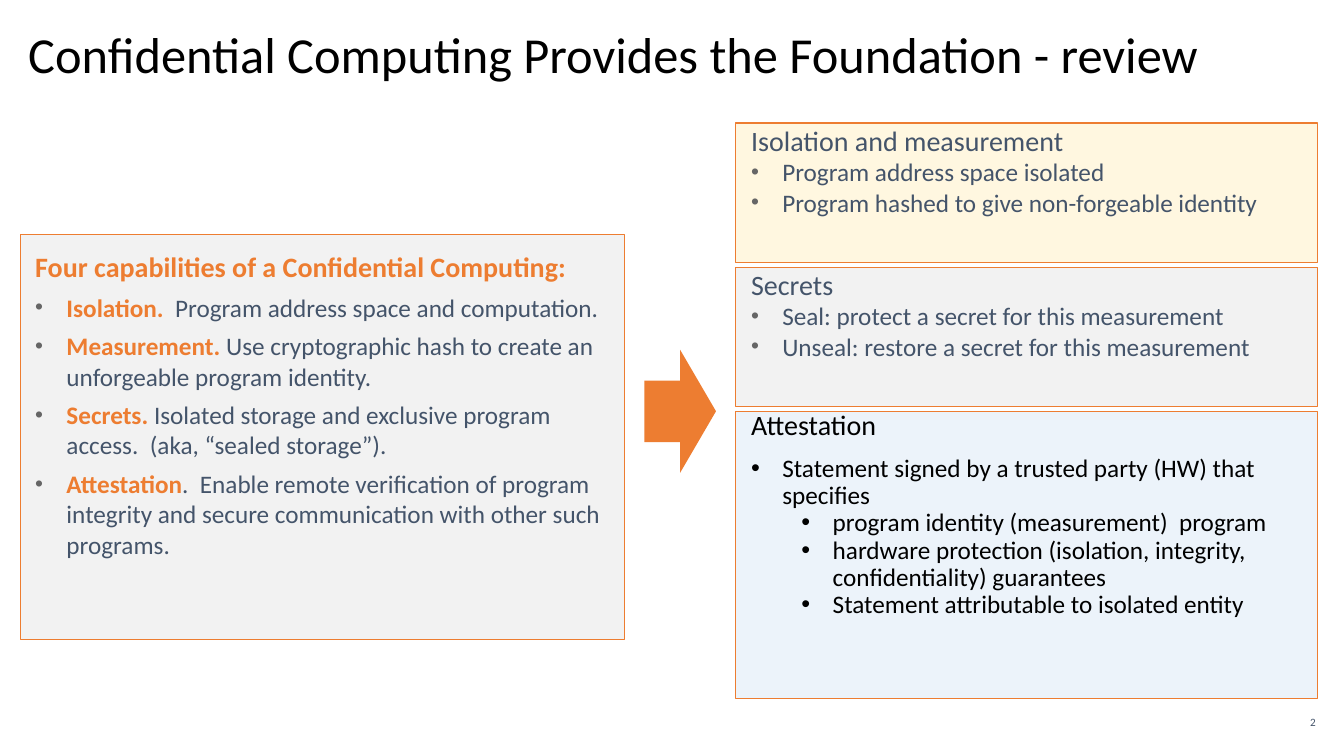
"""Build the slide on what confidential computing provides."""
from dataclasses import dataclass

import lxml.etree
import pptx
import pptx.dml.color
import pptx.enum.shapes
import pptx.enum.text
import pptx.oxml.ns
import pptx.util

qn = pptx.oxml.ns.qn
SHAPES = pptx.enum.shapes.MSO_SHAPE
ALIGN = pptx.enum.text.PP_ALIGN
ANCHOR = pptx.enum.text.MSO_ANCHOR


@dataclass(frozen=True)
class Theme:
    """Colours, type sizes and lengths shared by the whole slide."""
    font: str = "Calibri"
    ink: str = "000000"
    slate: str = "44546A"
    accent: str = "ED7D31"
    bullet: str = "666666"
    cream: str = "FFF2CC"
    silver: str = "EDEDED"
    mist: str = "F2F2F2"
    sky: str = "DEEBF7"
    title: int = 36
    heading: int = 20
    body: int = 18
    number: int = 8
    border: float = 0.75
    inset: float = 0.15
    hang: float = 0.31
    nest: float = 0.5


THEME = Theme()
WIDTH, HEIGHT = pptx.util.Inches(13.33), pptx.util.Inches(7.5)

CAPABILITIES = [
    ("Isolation.  ", "Program address space and computation."),
    ("Measurement.", " Use cryptographic hash to create an unforgeable program identity."),
    ("Secrets. ", "Isolated storage and exclusive program access.  (aka, “sealed storage”)."),
    ("Attestation", ".  Enable remote verification of program integrity and secure "
                    "communication with other such programs."),
]
GUARANTEES = [
    ("Isolation and measurement", THEME.cream, 60,
     ["Program address space isolated", "Program hashed to give non-forgeable identity"]),
    ("Secrets", THEME.silver, 72,
     ["Seal: protect a secret for this measurement",
      "Unseal: restore a secret for this measurement"]),
]
STATEMENT = "Statement signed by a trusted party (HW) that specifies"
STATEMENT_PARTS = [
    "program identity (measurement)  program",
    "hardware protection (isolation, integrity, confidentiality) guarantees",
    "Statement attributable to isolated entity",
]


def share(left, top, width, height):
    """Turn percentages of the slide into a position and a size."""
    return [round(percent * full / 100) for percent, full in
            zip((left, top, width, height), (WIDTH, HEIGHT, WIDTH, HEIGHT))]


def apply(target, values):
    """Set every attribute named in a dict of format values."""
    for name, value in values.items():
        setattr(target, name, value)


def rgb(colour):
    """Read a hexadecimal colour."""
    return pptx.dml.color.RGBColor.from_string(colour)


def write(paragraph, text, size, colour, bold=False):
    """Add one formatted run to a paragraph."""
    run = paragraph.add_run()
    run.text = text
    apply(run.font, {"name": THEME.font, "size": pptx.util.Pt(size), "bold": bold})
    run.font.color.rgb = rgb(colour)


def bullet(paragraph, colour, percent=100, level=0):
    """Give a paragraph a hanging round bullet."""
    paragraph.level = level
    properties = paragraph._p.get_or_add_pPr()
    hang = pptx.util.Inches(THEME.hang)
    properties.set("marL", str(hang + level * pptx.util.Inches(THEME.nest)))
    properties.set("indent", str(-hang))
    tint = lxml.etree.SubElement(properties, qn("a:buClr"))
    lxml.etree.SubElement(tint, qn("a:srgbClr")).set("val", colour)
    for tag, name, value in (("a:buSzPct", "val", str(percent * 1000)),
                             ("a:buFont", "typeface", "Arial"),
                             ("a:buChar", "char", "•")):
        lxml.etree.SubElement(properties, qn(tag)).set(name, value)


def add_line(frame, runs, before=0, spacing=1.0):
    """Append a left-aligned paragraph of (text, size, colour, bold) runs."""
    first = frame.paragraphs[0]
    paragraph = frame.add_paragraph() if first.runs else first
    apply(paragraph, {"alignment": ALIGN.LEFT, "line_spacing": spacing,
                      "space_before": pptx.util.Pt(before)})
    for run in runs:
        write(paragraph, *run)
    return paragraph


def add_block(slide, kind, area, colour, opacity=100):
    """Draw a filled preset shape without shadow or outline."""
    block = slide.shapes.add_shape(kind, *share(*area))
    block.shadow.inherit = False
    block.fill.solid()
    block.fill.fore_color.rgb = rgb(colour)
    block.line.fill.background()
    if opacity < 100:
        tint = block._element.spPr.find(qn("a:solidFill"))[0]
        lxml.etree.SubElement(tint, qn("a:alpha")).set("val", str(opacity * 1000))
    return block


def add_panel(slide, area, colour, opacity=100, inset=0):
    """Draw an outlined panel and return its text frame."""
    panel = add_block(slide, SHAPES.RECTANGLE, area, colour, opacity)
    panel.line.color.rgb = rgb(THEME.accent)
    panel.line.width = pptx.util.Pt(THEME.border)
    side = pptx.util.Inches(inset)
    apply(panel.text_frame, {
        "word_wrap": True, "vertical_anchor": ANCHOR.TOP,
        "margin_left": pptx.util.Inches(THEME.inset),
        "margin_top": side, "margin_right": side, "margin_bottom": side})
    return panel.text_frame


def add_title(slide, text):
    """Move and format the title placeholder."""
    title = slide.shapes.title
    apply(title, dict(zip(("left", "top", "width", "height"),
                          share(1.35, 2.4, 98.5, 10.4))))
    apply(title.text_frame, {"word_wrap": True, "vertical_anchor": ANCHOR.MIDDLE})
    add_line(title.text_frame, [(text, THEME.title, THEME.ink)], spacing=0.9)


def add_number(slide, text):
    """Write the page number in the lower right corner."""
    frame = slide.shapes.add_textbox(*share(94.3, 94.27, 3.6, 2.67)).text_frame
    apply(frame, {"margin_left": 0, "margin_right": 0, "margin_top": 0,
                  "margin_bottom": 0, "vertical_anchor": ANCHOR.MIDDLE, "word_wrap": True})
    add_line(frame, [(text, THEME.number, THEME.slate)], spacing=0.9).alignment = ALIGN.RIGHT


def add_capabilities(slide):
    """List the four capabilities in the left panel."""
    frame = add_panel(slide, (1.5, 31.07, 45, 53.47), THEME.mist, inset=THEME.inset)
    add_line(frame, [("Four capabilities of a Confidential Computing:",
                      THEME.heading, THEME.accent, True)], before=6)
    for name, meaning in CAPABILITIES:
        line = add_line(frame, [(name, THEME.body, THEME.accent, True),
                                (meaning, THEME.body, THEME.slate)], before=6)
        bullet(line, THEME.bullet, 90)


def add_guarantees(slide):
    """Stack the three panels of the right column."""
    left, top, width, height, gap = 54.76, 16.27, 43.28, 18.4, 0.67
    for heading, colour, opacity, points in GUARANTEES:
        frame = add_panel(slide, (left, top, width, height), colour, opacity)
        add_line(frame, [(heading, THEME.heading, THEME.slate)], before=6)
        for point in points:
            bullet(add_line(frame, [(point, THEME.body, THEME.slate)]), THEME.bullet, 90)
        top += height + gap
    frame = add_panel(slide, (left, top, width, 38), THEME.sky, 56)
    add_line(frame, [("Attestation", THEME.heading, THEME.ink)], before=6, spacing=0.9)
    statement = add_line(frame, [(STATEMENT, THEME.body, THEME.ink)], before=10, spacing=0.9)
    bullet(statement, THEME.ink)
    for part in STATEMENT_PARTS:
        line = add_line(frame, [(part, THEME.body, THEME.ink)], spacing=0.9)
        bullet(line, THEME.ink, level=1)


def main():
    """Assemble and save the slide."""
    deck = pptx.Presentation()
    apply(deck, {"slide_width": WIDTH, "slide_height": HEIGHT})
    slide = deck.slides.add_slide(deck.slide_layouts.get_by_name("Title Only"))
    add_title(slide, "Confidential Computing Provides the Foundation - review")
    add_guarantees(slide)
    add_capabilities(slide)
    add_block(slide, SHAPES.RIGHT_ARROW, (47.94, 46.27, 5.33, 16.27), THEME.accent)
    add_number(slide, "2")
    deck.save("out.pptx")


if __name__ == "__main__":
    main()
